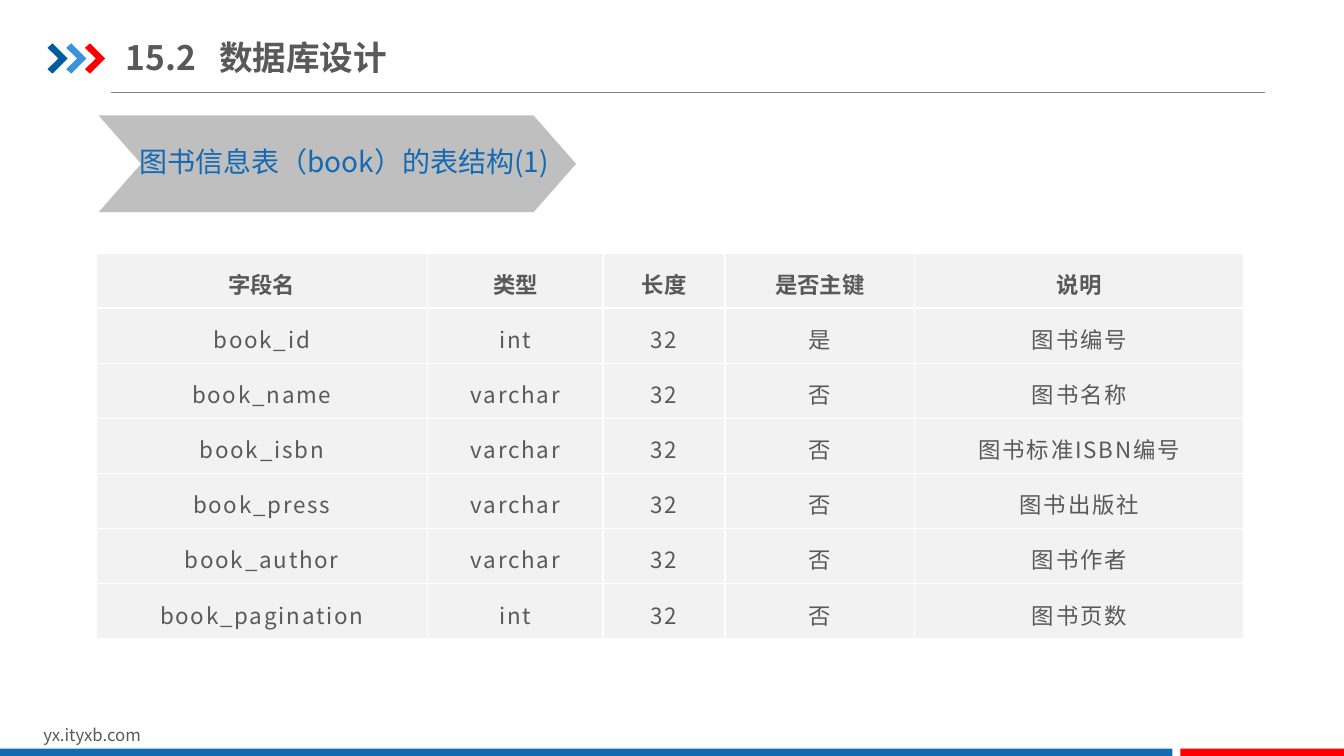
from lxml.etree import SubElement
from pptx import Presentation
from pptx.dml.color import RGBColor
from pptx.enum.shapes import MSO_CONNECTOR, MSO_SHAPE
from pptx.enum.text import MSO_ANCHOR, PP_ALIGN
from pptx.oxml.ns import qn
from pptx.util import Pt

FONT = "Noto Sans CJK SC"
COLORS = {"text": "595959", "blue": "1369B2", "navy": "005DA2", "sky": "3992DB",
          "red": "FF0000", "rule": "808080", "banner": "BFBFBF",
          "cell": "F2F2F2", "border": "FFFFFF"}
ROWS = [
    ("字段名", "类型", "长度", "是否主键", "说明"),
    ("book_id", "int", "32", "是", "图书编号"),
    ("book_name", "varchar", "32", "否", "图书名称"),
    ("book_isbn", "varchar", "32", "否", "图书标准ISBN编号"),
    ("book_press", "varchar", "32", "否", "图书出版社"),
    ("book_author", "varchar", "32", "否", "图书作者"),
    ("book_pagination", "int", "32", "否", "图书页数"),
]
COL_WIDTHS = (236.9, 125.3, 87.1, 135.4, 235.4)
ROW_HEIGHT = 39.37
TEXTS = [
    ("yx.ityxb.com", (23.8, 514.1, 229, 21.8), 12, "text"),
    ("图书信息表（book）的表结构(1)", (92.2, 99.4, 308.9, 31.7), 20, "blue"),
]
TITLE = ("15.2\t数据库设计", (90, 20.9, 231, 39.6), 24, "text")
TITLE_TAB = 66.5
BARS = [(0, 837.4, "blue"), (843.1, 116.9, "red")]
ARROW_COLORS = ("navy", "sky", "red")
ARROW_LEFT, ARROW_TOP, ARROW_STEP = 33.9, 31, 13.4
ARROW_OUTLINE = [(0, 3.2), (3.6, 0), (14.4, 10.8), (3.6, 21.6), (0, 18.4), (7.9, 10.8)]


def rgb(name):
    return RGBColor.from_string(COLORS[name])


def style(p, size, color, bold=False, spacing=0):
    f = p.font
    f.size, f.bold, f.name = Pt(size), bold, FONT
    f.color.rgb = rgb(color)
    r_pr = p._p.pPr.find(qn("a:defRPr"))
    SubElement(r_pr, qn("a:ea"), typeface=FONT)
    if spacing:
        r_pr.set("spc", str(spacing))


def paint(sp, color):
    sp.shadow.inherit = False
    sp.fill.solid()
    sp.fill.fore_color.rgb = rgb(color)
    sp.line.fill.background()


def add_text(s, text, box, size, color, bold=False, tab=None):
    tf = s.shapes.add_textbox(*map(Pt, box)).text_frame
    tf.word_wrap = True
    p = tf.paragraphs[0]
    p.text = text
    if tab:
        tabs = SubElement(p._p.get_or_add_pPr(), qn("a:tabLst"))
        SubElement(tabs, qn("a:tab"), pos=str(Pt(tab)), algn="l")
    style(p, size, color, bold)
    return tf


def add_arrow(s, left, color):
    points = [(Pt(left + x), Pt(ARROW_TOP + y)) for x, y in ARROW_OUTLINE]
    builder = s.shapes.build_freeform(*points[0])
    builder.add_line_segments(points[1:], close=True)
    paint(builder.convert_to_shape(), color)


def fill_cell(cell, text, header):
    tc_pr = cell._tc.get_or_add_tcPr()
    for side in ("lnL", "lnR", "lnT", "lnB"):
        line = SubElement(tc_pr, qn(f"a:{side}"), w=str(Pt(1)))
        SubElement(SubElement(line, qn("a:solidFill")), qn("a:srgbClr"), val=COLORS["border"])
    cell.fill.solid()
    cell.fill.fore_color.rgb = rgb("cell")
    cell.vertical_anchor = MSO_ANCHOR.MIDDLE
    cell.margin_left = cell.margin_right = Pt(17)
    cell.margin_top = cell.margin_bottom = 0
    p = cell.text_frame.paragraphs[0]
    p.text, p.alignment, p.line_spacing = text, PP_ALIGN.CENTER, 1.2
    style(p, 16, "text", bold=header, spacing=0 if header else 130)


def add_table(s):
    table = s.shapes.add_table(len(ROWS), len(COL_WIDTHS), Pt(68.6), Pt(180.7),
                               Pt(sum(COL_WIDTHS)), Pt(ROW_HEIGHT * len(ROWS))).table
    for col, width in zip(table.columns, COL_WIDTHS):
        col.width = Pt(width)
    for i, values in enumerate(ROWS):
        table.rows[i].height = Pt(ROW_HEIGHT)
        for j, text in enumerate(values):
            fill_cell(table.cell(i, j), text, header=i == 0)


def main():
    """Build the slide on the structure of the book table."""
    prs = Presentation()
    prs.slide_width, prs.slide_height = Pt(960), Pt(540)
    s = prs.slides.add_slide(prs.slide_layouts[6])

    rule = s.shapes.add_connector(MSO_CONNECTOR.STRAIGHT, Pt(79.2), Pt(65.9), Pt(903.6), Pt(65.9))
    rule.line.color.rgb = rgb("rule")
    rule.line.width = Pt(0.5)
    SubElement(rule._element.spPr, qn("a:effectLst"))

    for i, color in enumerate(ARROW_COLORS):
        add_arrow(s, ARROW_LEFT + i * ARROW_STEP, color)
    for left, width, color in BARS:
        paint(s.shapes.add_shape(MSO_SHAPE.RECTANGLE, Pt(left), Pt(534.8), Pt(width), Pt(6.2)), color)

    banner = s.shapes.add_shape(MSO_SHAPE.CHEVRON, Pt(70.4), Pt(82.5), Pt(341.1), Pt(69.1))
    banner.adjustments[0] = 0.44
    paint(banner, "banner")

    for item in TEXTS:
        add_text(s, *item)
    tf = add_text(s, *TITLE, bold=True, tab=TITLE_TAB)
    tf.vertical_anchor = MSO_ANCHOR.MIDDLE
    tf.margin_left = tf.margin_right = 0
    tf.margin_top = tf.margin_bottom = Pt(5)

    add_table(s)
    prs.save("out.pptx")


if __name__ == "__main__":
    main()
